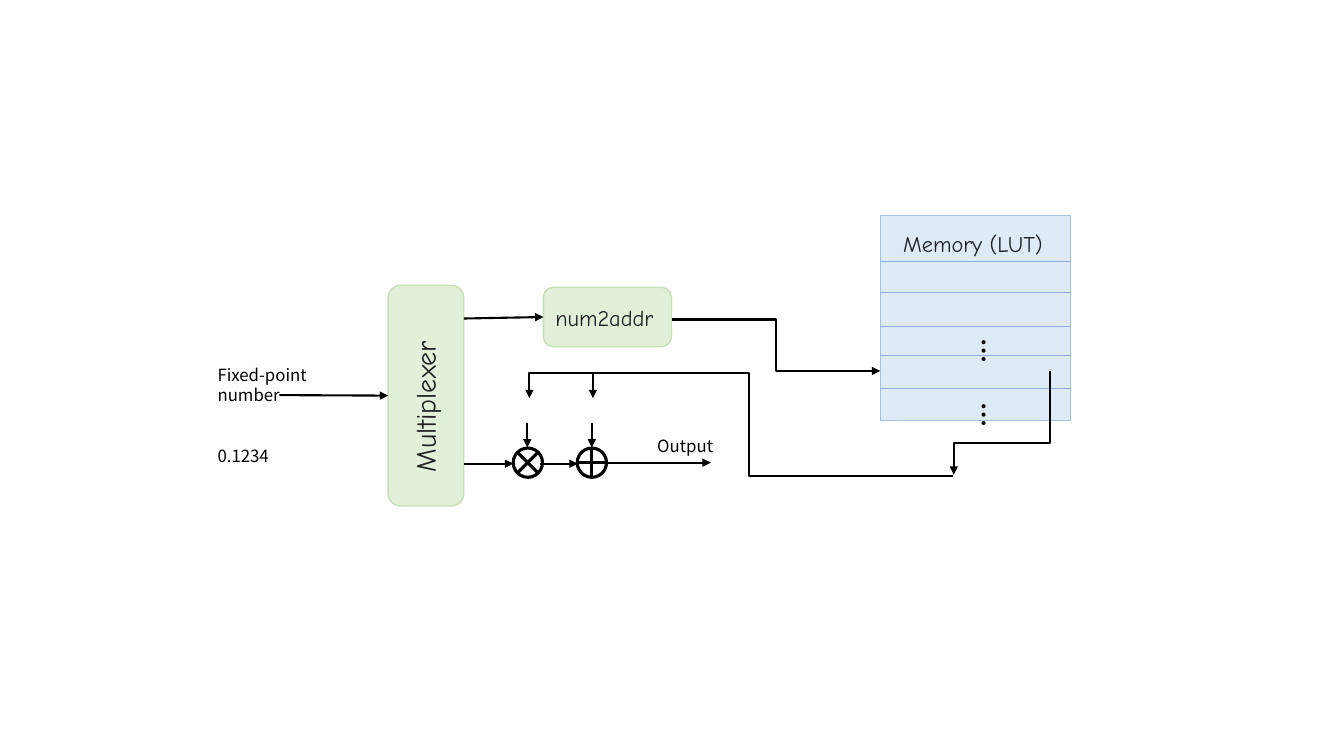
from lxml.etree import SubElement
from pptx import Presentation
from pptx.dml.color import RGBColor
from pptx.enum.shapes import MSO_CONNECTOR, MSO_SHAPE
from pptx.enum.text import MSO_AUTO_SIZE
from pptx.oxml.ns import qn
from pptx.util import Inches, Pt

COLORS = {"ink": "000000", "label": "202124", "white": "FFFFFF",
          "green": "E2F0D9", "green edge": "C5E0B4",
          "blue": "DEEBF7", "blue edge": "9DC3E6", "rule": "8FAADC"}
HAND, SANS = "Comic Neue", "Noto Sans CJK SC"

BLOCKS = {
    "multiplexer": (MSO_SHAPE.ROUNDED_RECTANGLE, (38.5, 28.3, 7.5, 21.9), "green"),
    "num2addr": (MSO_SHAPE.ROUNDED_RECTANGLE, (53.9, 28.5, 12.7, 5.9), "green"),
    "memory": (MSO_SHAPE.RECTANGLE, (87.3, 21.4, 18.9, 20.3), "blue"),
}
MEMORY_RULES = [25.9, 29, 32.4, 35.3, 38.5]
OPERATOR_RADIUS = 1.45
OPERATOR_ROW = 45.9
OPERATORS = {"multiply": (52.35, 1, [(-1, 1, 1, -1), (-1, -1, 1, 1)]),
             "add": (58.7, OPERATOR_RADIUS, [(-1, 0, 1, 0), (0, -1, 0, 1)])}
ARROWS = [
    (27.7, 39.2, 38.5, 39.2, None, "multiplexer"),
    (46, 31.6, 53.9, 31.5, None, "num2addr"),
    (46, 46, 50.9, 46, None, None),
    (53.6, 46, 57.3, 46, None, None),
    (60.1, 45.9, 70.5, 45.9, None, None),
    (52.3, 42, 52.3, 44.4, None, None),
    (58.7, 42, 58.7, 44.4, None, None),
    (58.8, 37, 58.8, 39.5, None, None),
]
ELBOWS = [
    ((66.7, 31.7, 20.6, 5.1), 0, "bentConnector3", [0.5]),
    ((52.5, 39.5, 42, 7.7), 180, "bentConnector4", [0.481, 1.327]),
    ((94.2, 37.2, 10.3, 9.5), 90, "bentConnector3", [0.698]),
]
LABELS = [
    (["Multiplexer"], (31.7, 35.2, 20.9, 4.4), HAND, 20, "label", 270),
    (["num2addr"], (54.1, 29.7, 13.3, 3.7), HAND, 16, "label", 0),
    (["Memory (LUT)"], (88.6, 22.3, 16.4, 2.7), HAND, 16, "label", 0),
    (["Fixed-point\vnumber", "0.1234"], (20.6, 35.7, 17, 7.1), SANS, 12, "ink", 0),
    (["Output"], (64.2, 42.7, 7.7, 5), SANS, 12, "ink", 0),
]
DOTS = [((94.6, top, 5, 3.1)) for top in (32.6, 38.9)]
LINE_GAP = 28.8


def grid(*cells):
    return [Inches(cell / 10) for cell in cells]


def color(name):
    return RGBColor.from_string(COLORS[name])


def add_block(page, kind, frame, fill, edge, weight):
    block = page.shapes.add_shape(kind, *grid(*frame))
    block.shadow.inherit = False
    block.fill.solid()
    block.fill.fore_color.rgb = color(fill)
    block.line.color.rgb = color(edge)
    block.line.width = Pt(weight)
    return block


def add_line(page, ends, weight, ink="ink", arrow=False, kind=MSO_CONNECTOR.STRAIGHT):
    line = page.shapes.add_connector(kind, *grid(*ends))
    line.line.color.rgb = color(ink)
    line.line.width = Pt(weight)
    if arrow:
        SubElement(line.line._get_or_add_ln(), qn("a:tailEnd"), type="triangle")
    SubElement(line._element.spPr, qn("a:effectLst"))
    return line


def add_elbow(page, frame, turn, preset, bends):
    left, top, width, height = frame
    elbow = add_line(page, (left, top, left + width, top + height), 1.5,
                     arrow=True, kind=MSO_CONNECTOR.ELBOW)
    properties = elbow._element.spPr
    properties.find(qn("a:xfrm")).set("rot", str(turn * 60000))
    geometry = properties.find(qn("a:prstGeom"))
    geometry.set("prst", preset)
    values = geometry.find(qn("a:avLst"))
    for number, bend in enumerate(bends, 1):
        SubElement(values, qn("a:gd"), name=f"adj{number}", fmla=f"val {round(bend * 100000)}")


def add_label(page, lines, frame, font, size, ink, turn=0, bold=False, vertical=False):
    box = page.shapes.add_textbox(*grid(*frame))
    box.rotation = turn
    text = box.text_frame
    text.word_wrap = not vertical
    text.auto_size = MSO_AUTO_SIZE.SHAPE_TO_FIT_TEXT
    if vertical:
        text._txBody.bodyPr.set("vert", "eaVert")
    for number, line in enumerate(lines):
        para = text.add_paragraph() if number else text.paragraphs[0]
        para.text = line
        if number:
            para.space_before = Pt(LINE_GAP)
        para.font.name = font
        para.font.size = Pt(size)
        para.font.bold = bold
        para.font.color.rgb = color(ink)
        for span in para.runs:
            SubElement(span._r.get_or_add_rPr(), qn("a:ea"), typeface=font)


def main():
    deck = Presentation()
    deck.slide_width, deck.slide_height = Inches(13.33), Inches(7.5)
    page = deck.slides.add_slide(deck.slide_layouts[6])

    blocks = {name: add_block(page, kind, frame, fill, f"{fill} edge", 1)
              for name, (kind, frame, fill) in BLOCKS.items()}
    left, _, width, _ = BLOCKS["memory"][1]
    for row in MEMORY_RULES:
        add_line(page, (left, row, left + width, row), 0.5, "rule")

    for center, reach, strokes in OPERATORS.values():
        size = 2 * OPERATOR_RADIUS
        frame = (center - OPERATOR_RADIUS, OPERATOR_ROW - OPERATOR_RADIUS, size, size)
        add_block(page, MSO_SHAPE.OVAL, frame, "white", "ink", 2.25)
        for x1, y1, x2, y2 in strokes:
            add_line(page, (center + x1 * reach, OPERATOR_ROW + y1 * reach,
                            center + x2 * reach, OPERATOR_ROW + y2 * reach), 2.25)

    for *ends, source, target in ARROWS:
        arrow = add_line(page, ends, 1.5, arrow=True)
        if target:
            arrow.end_connect(blocks[target], 1)
    for elbow in ELBOWS:
        add_elbow(page, *elbow)
    for label in LABELS:
        add_label(page, *label)
    for frame in DOTS:
        add_label(page, ["…"], frame, SANS, 18, "ink", bold=True, vertical=True)
    deck.save("out.pptx")


if __name__ == "__main__":
    main()
